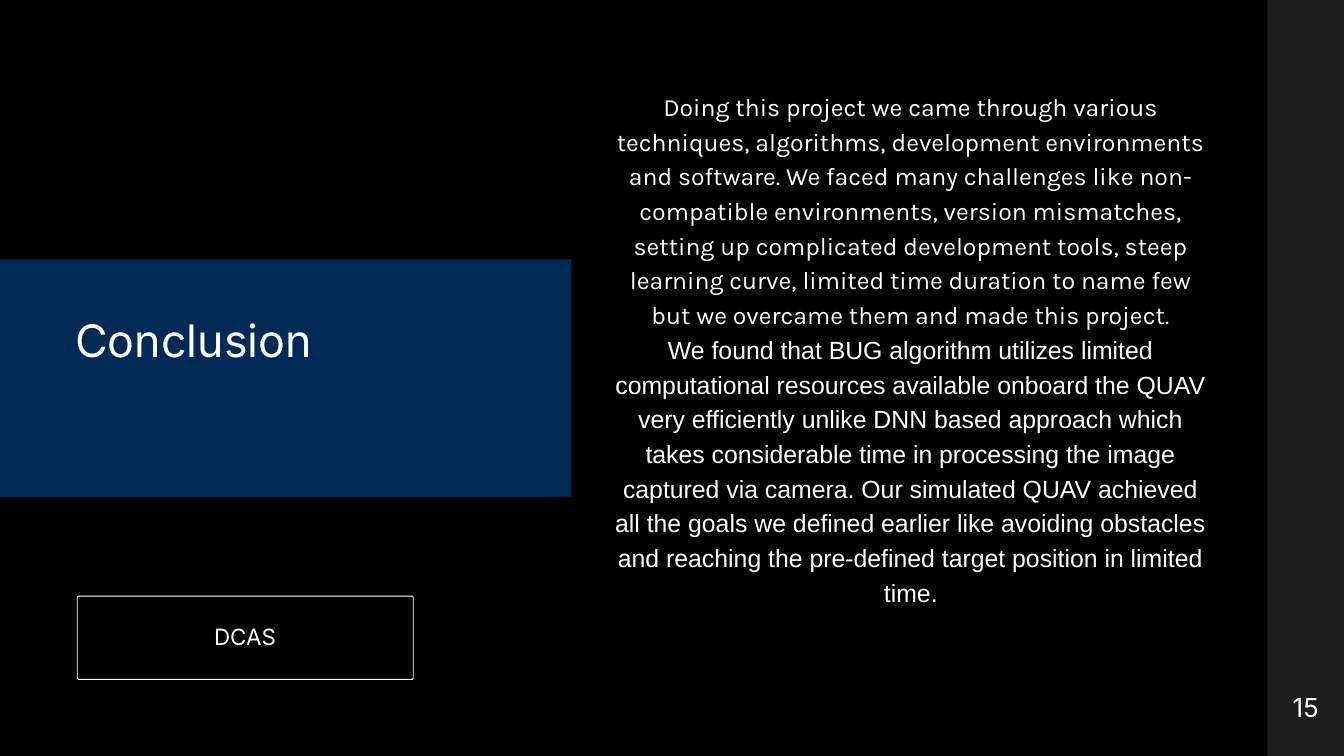
import lxml.etree
import pptx
import pptx.dml.color
import pptx.enum.shapes
import pptx.enum.text
import pptx.oxml.ns
import pptx.util

Inches = pptx.util.Inches
Pt = pptx.util.Pt
Shapes = pptx.enum.shapes.MSO_SHAPE
Align = pptx.enum.text.PP_ALIGN

WHITE = "FFFFFF"
CONCLUSIONS = [
    ("Karla", "Doing this project we came through various techniques, algorithms, "
     "development environments and software. We faced many challenges like "
     "non-compatible environments, version mismatches, setting up complicated "
     "development tools, steep learning curve, limited time duration to name few "
     "but we overcame them and made this project."),
    ("Arial", "We found that BUG algorithm utilizes limited computational resources "
     "available onboard the QUAV very efficiently unlike DNN based approach which "
     "takes considerable time in processing the image captured via camera. Our "
     "simulated QUAV achieved all the goals we defined earlier like avoiding "
     "obstacles and reaching the pre-defined target position in limited time."),
]


def rgb(value):
    return pptx.dml.color.RGBColor.from_string(value)


class SlideBuilder:
    """Holds the text style and the slide being built."""

    font = "Inter"
    color = WHITE

    def __init__(self, presentation):
        self.slide = presentation.slides.add_slide(presentation.slide_layouts[5])

    def background(self, color):
        fill = self.slide.background.fill
        fill.solid()
        fill.fore_color.rgb = rgb(color)

    def box(self, kind, bounds, fill=None, opacity=100, line=None):
        shape = self.slide.shapes.add_shape(kind, *map(Inches, bounds))
        shape.shadow.inherit = False
        if fill:
            shape.fill.solid()
            shape.fill.fore_color.rgb = rgb(fill)
            if opacity < 100:
                solid_fill = shape.element.spPr.find(pptx.oxml.ns.qn("a:solidFill"))
                alpha = lxml.etree.SubElement(solid_fill[0], pptx.oxml.ns.qn("a:alpha"))
                alpha.set("val", str(opacity * 1000))
        else:
            shape.fill.background()
        if line:
            shape.line.color.rgb = rgb(line)
            shape.line.width = Pt(1)
        else:
            shape.line.fill.background()
        return shape

    def fill_text(self, shape, paragraphs, size, spacing, align):
        """Fill a shape with (font, text) paragraphs."""
        frame = shape.text_frame
        frame_format = {
            "margin_left": 0, "margin_top": 0, "margin_right": 0, "margin_bottom": 0,
            "word_wrap": True,
            "auto_size": pptx.enum.text.MSO_AUTO_SIZE.NONE,
            "vertical_anchor": pptx.enum.text.MSO_ANCHOR.TOP,
        }
        for name, value in frame_format.items():
            setattr(frame, name, value)
        for index, (font, text) in enumerate(paragraphs):
            paragraph = frame.add_paragraph() if index else frame.paragraphs[0]
            paragraph.alignment = align
            paragraph.line_spacing = Pt(spacing)
            run = paragraph.add_run()
            run.text = text
            for name, value in {"name": font, "size": Pt(size)}.items():
                setattr(run.font, name, value)
            run.font.color.rgb = rgb(self.color)

    def text(self, bounds, paragraphs, size, spacing, align=Align.CENTER):
        shape = self.slide.shapes.add_textbox(*map(Inches, bounds))
        self.fill_text(shape, paragraphs, size, spacing, align)

    def title(self, bounds, text, size, spacing, above):
        """Place the title just in front of the shape given as above."""
        title = self.slide.shapes.title
        for name, value in zip(("left", "top", "width", "height"), bounds):
            setattr(title, name, Inches(value))
        self.fill_text(title, [(self.font, text)], size, spacing, Align.LEFT)
        above.element.addnext(title.element)


def main():
    presentation = pptx.Presentation()
    presentation.slide_width = Inches(20)
    presentation.slide_height = Inches(11.25)

    builder = SlideBuilder(presentation)
    builder.background("000000")

    label_frame = builder.box(Shapes.ROUNDED_RECTANGLE, (1.15, 8.87, 5, 1.24), line=WHITE)
    label_frame.adjustments[0] = 0.02
    builder.text((1.5, 9.31, 4.29, 0.38), [(builder.font, "DCAS")], 24, 26.4)

    title_band = builder.box(Shapes.RECTANGLE, (0, 3.86, 8.5, 3.53), "004A98", opacity=57)
    builder.title((1.12, 4.72, 6.17, 0.76), "Conclusion", 48, 52.8, above=title_band)

    builder.box(Shapes.RECTANGLE, (18.86, 0, 1.14, 11.25), "1E1E1E")
    builder.text((19.14, 10.33, 0.58, 0.45), [(builder.font, "15")], 28, 30.8)

    builder.text((9.13, 1.29, 8.85, 9.18), CONCLUSIONS, 26.6, 37.2)

    presentation.save("out.pptx")


if __name__ == "__main__":
    main()
